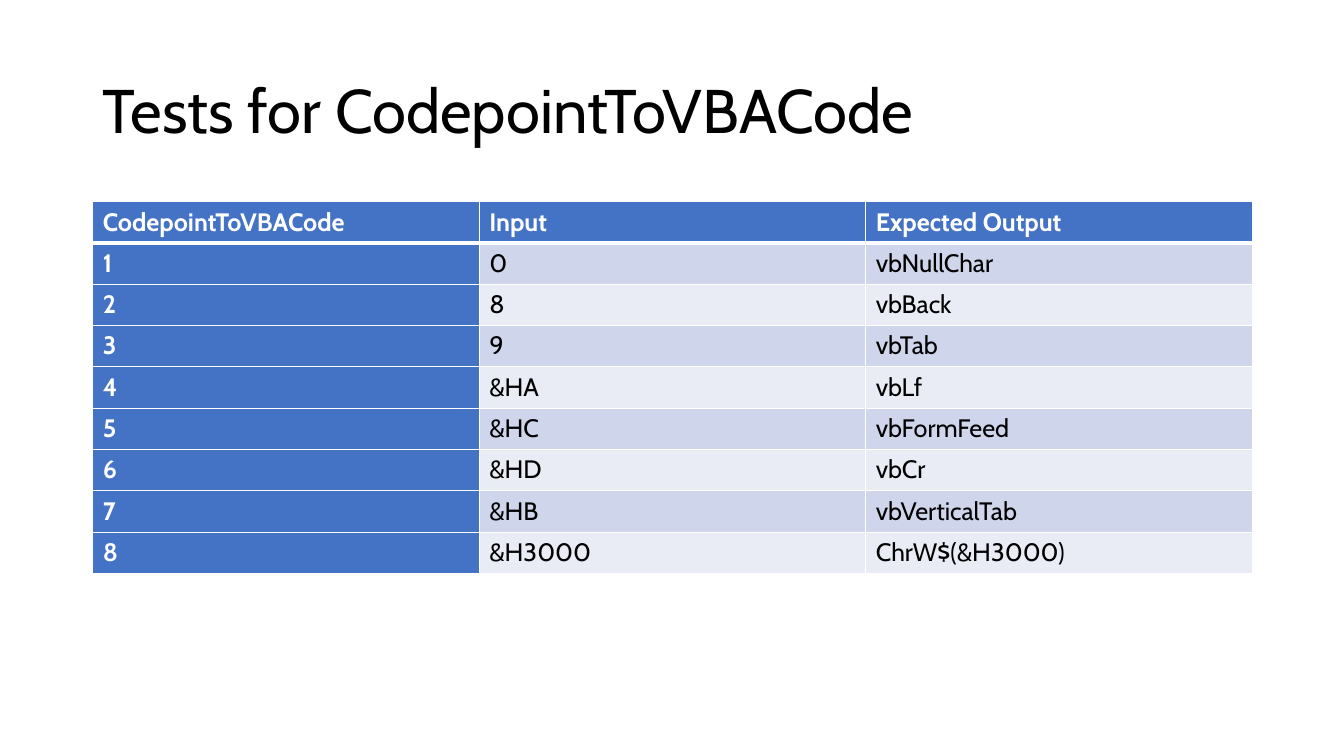
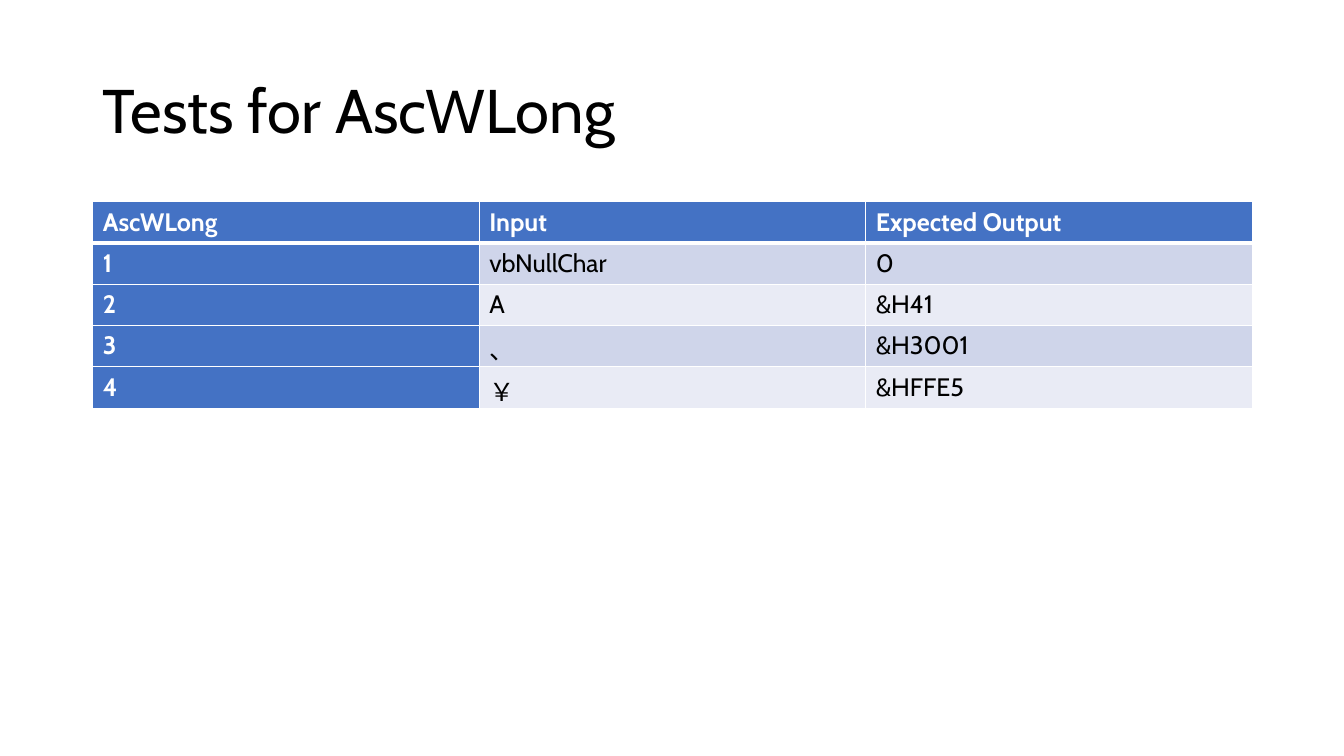
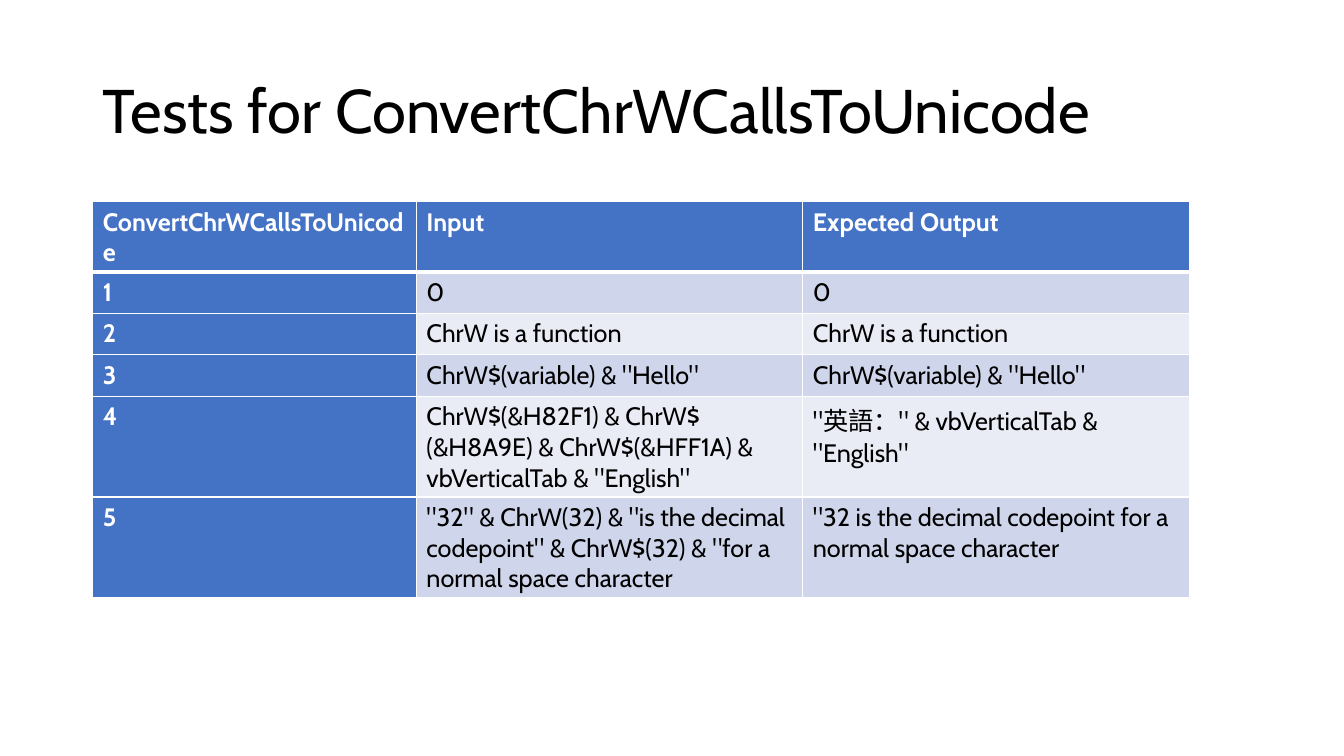
from dataclasses import dataclass

from lxml import etree
from pptx import Presentation
from pptx import util as u
from pptx.dml.color import RGBColor
from pptx.enum import text
from pptx.oxml import ns


@dataclass(frozen=True)
class Theme:
    font: str = "Cabin"
    title_size: int = 44
    table_size: int = 18
    ink: str = "000000"
    paper: str = "FFFFFF"
    accent: str = "4472C4"
    bands: tuple = ("CFD5EA", "E9EBF5")
    thin_rule: int = 1
    thick_rule: int = 3


THEME = Theme()
BLANK_LAYOUT = 6
LEFT, CONTENT_WIDTH = 0.92, 11.5
TABLE_TOP, ROW_HEIGHT = 2, 0.41
EVEN_COLUMNS = (CONTENT_WIDTH / 3,) * 3
NARROW_FIRST = (3.21,) + EVEN_COLUMNS[1:]

# Each test suite: function under test, column widths, (input, expected output)
SUITES = [
    ("CodepointToVBACode", EVEN_COLUMNS, [
        ("0", "vbNullChar"),
        ("8", "vbBack"),
        ("9", "vbTab"),
        ("&HA", "vbLf"),
        ("&HC", "vbFormFeed"),
        ("&HD", "vbCr"),
        ("&HB", "vbVerticalTab"),
        ("&H3000", "ChrW$(&H3000)"),
    ]),
    ("AscWLong", EVEN_COLUMNS, [
        ("vbNullChar", "0"),
        ("A", "&H41"),
        ("、", "&H3001"),
        ("￥", "&HFFE5"),
    ]),
    ("ConvertChrWCallsToUnicode", NARROW_FIRST, [
        ("0", "0"),
        ("ChrW is a function", "ChrW is a function"),
        ('ChrW$(variable) & "Hello"', 'ChrW$(variable) & "Hello"'),
        ('ChrW$(&H82F1) & ChrW$(&H8A9E) & ChrW$(&HFF1A) & vbVerticalTab & "English"',
         '"英語：" & vbVerticalTab & "English"'),
        ('"32" & ChrW(32) & "is the decimal codepoint" & ChrW$(32) & "for a normal space character',
         '"32 is the decimal codepoint for a normal space character'),
    ]),
]


def style_font(paragraph, size, color, bold=False):
    font = paragraph.font
    font.name = THEME.font
    font.size = u.Pt(size)
    font.bold = bold
    font.color.rgb = RGBColor.from_string(color)


def add_title(slide, title):
    box = slide.shapes.add_textbox(u.Inches(LEFT), u.Inches(0.4),
                                   u.Inches(CONTENT_WIDTH), u.Inches(1.45))
    frame = box.text_frame
    frame.word_wrap = True
    frame.vertical_anchor = text.MSO_ANCHOR.MIDDLE
    paragraph = frame.paragraphs[0]
    paragraph.text = title
    paragraph.line_spacing = 0.9
    style_font(paragraph, THEME.title_size, THEME.ink)


def set_borders(cell, top, bottom):
    """Rule the cell; borders must come before its fill."""
    properties = cell._tc.get_or_add_tcPr()
    sides = {"L": THEME.thin_rule, "R": THEME.thin_rule, "T": top, "B": bottom}
    for side, points in sides.items():
        line = etree.SubElement(properties, ns.qn(f"a:ln{side}"), w=str(u.Pt(points)))
        fill = etree.SubElement(line, ns.qn("a:solidFill"))
        etree.SubElement(fill, ns.qn("a:srgbClr"), val=THEME.paper)


def style_cell(cell, row, column):
    strong = row == 0 or column == 0
    set_borders(cell,
                top=THEME.thick_rule if row == 1 else THEME.thin_rule,
                bottom=THEME.thick_rule if row == 0 else THEME.thin_rule)
    cell.fill.solid()
    color = THEME.accent if strong else THEME.bands[(row - 1) % 2]
    cell.fill.fore_color.rgb = RGBColor.from_string(color)
    style_font(cell.text_frame.paragraphs[0], THEME.table_size,
               THEME.paper if strong else THEME.ink, strong)


def add_test_table(slide, function, widths, cases):
    rows = [(function, "Input", "Expected Output")]
    rows += [(str(number), *case) for number, case in enumerate(cases, 1)]
    table = slide.shapes.add_table(
        len(rows), len(widths), u.Inches(LEFT), u.Inches(TABLE_TOP),
        u.Inches(sum(widths)), u.Inches(ROW_HEIGHT * len(rows))).table
    table.first_col = True
    for column, width in zip(table.columns, widths):
        column.width = u.Inches(width)
    for row, values in enumerate(rows):
        table.rows[row].height = u.Inches(ROW_HEIGHT)
        for column, value in enumerate(values):
            cell = table.cell(row, column)
            cell.text = value
            style_cell(cell, row, column)


def main():
    deck = Presentation()
    deck.slide_width, deck.slide_height = u.Inches(13.33), u.Inches(7.5)
    for function, widths, cases in SUITES:
        slide = deck.slides.add_slide(deck.slide_layouts[BLANK_LAYOUT])
        add_title(slide, f"Tests for {function}")
        add_test_table(slide, function, widths, cases)
    deck.save("out.pptx")


if __name__ == "__main__":
    main()
